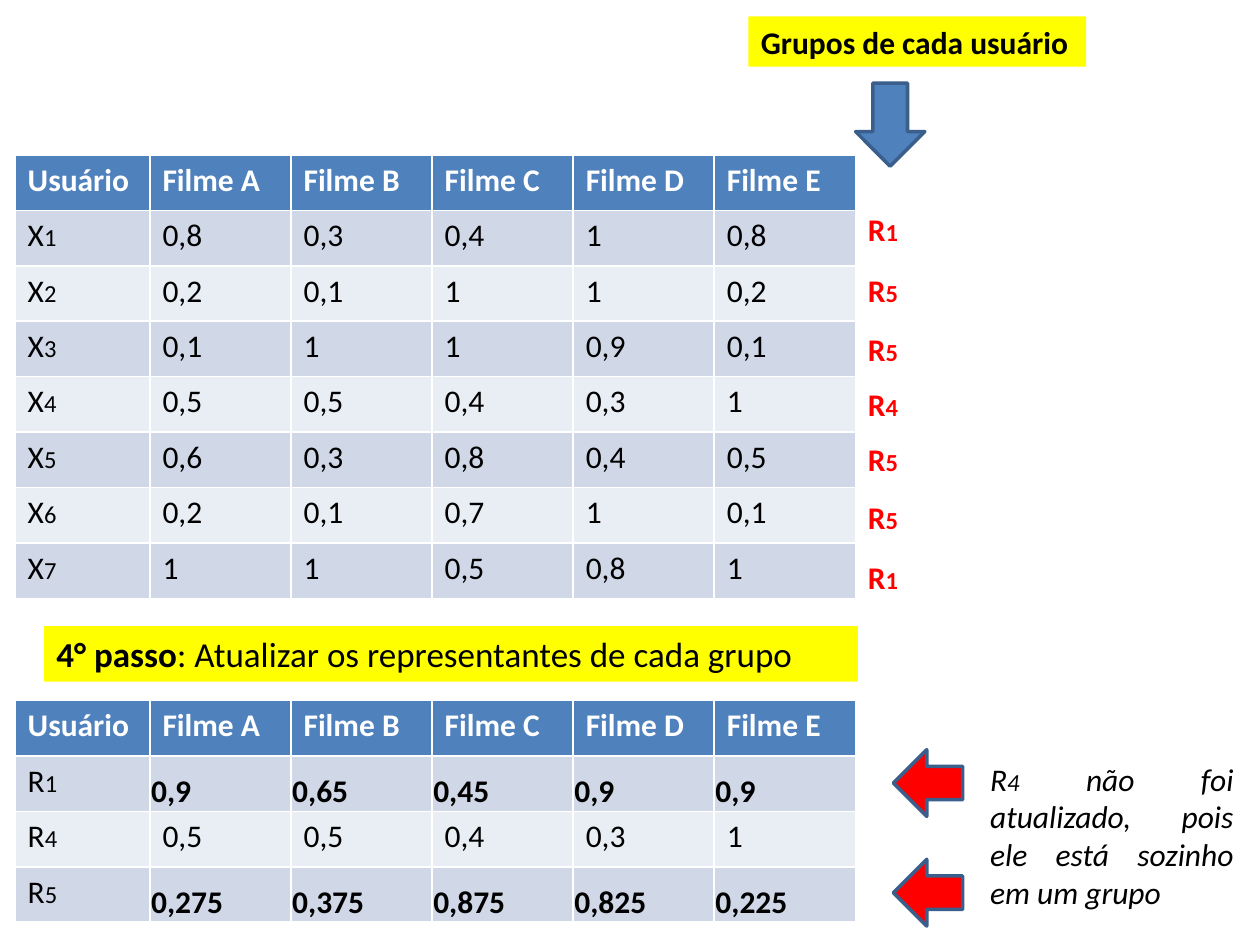
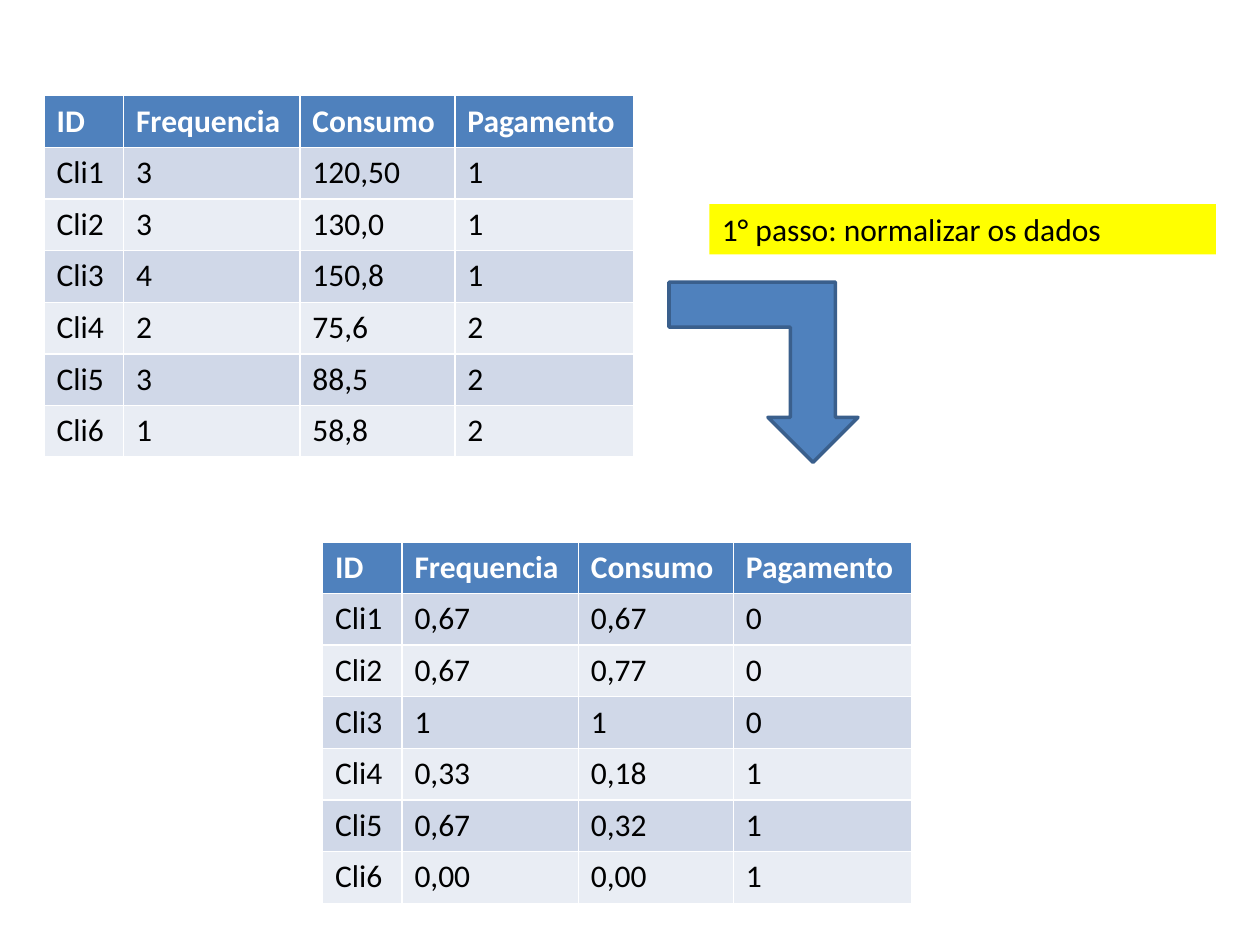
"""Builds two slides on grouping users by film ratings and normalising client data."""
from pptx import Presentation
from pptx import util as u
from pptx.dml.color import RGBColor
from pptx.enum import shapes, text

BLACK = RGBColor(0x00, 0x00, 0x00)
WHITE = RGBColor(0xFF, 0xFF, 0xFF)
RED = RGBColor(0xFF, 0x00, 0x00)
YELLOW = RGBColor(0xFF, 0xFF, 0x00)
BLUE = RGBColor(0x4F, 0x81, 0xBD)
DARK_BLUE = RGBColor(0x3A, 0x5F, 0x8C)
BANDS = (RGBColor(0xD0, 0xD8, 0xE8), RGBColor(0xE9, 0xED, 0xF4))
FONT = "Calibri"
SIZE, INDEX_SIZE, STEP_SIZE = 18, 14, 20

FILM_COLUMNS = [1.07] + [1.12] * 5
FILM_LEFT, FILM_ROW = 0.12, 0.44
FILM_RIGHT = FILM_LEFT + sum(FILM_COLUMNS)
CLIENT_COLUMNS = [0.63, 1.4, 1.23, 1.42]
CLIENT_ROW = 0.41
MARK_WIDTH = 0.55

FILM_HEADER = ["Usuário"] + [f"Filme {letter}" for letter in "ABCDE"]
CLIENT_HEADER = ["ID", "Frequencia", "Consumo", "Pagamento"]
RATINGS = [
    ["X1", "0,8", "0,3", "0,4", "1", "0,8"],
    ["X2", "0,2", "0,1", "1", "1", "0,2"],
    ["X3", "0,1", "1", "1", "0,9", "0,1"],
    ["X4", "0,5", "0,5", "0,4", "0,3", "1"],
    ["X5", "0,6", "0,3", "0,8", "0,4", "0,5"],
    ["X6", "0,2", "0,1", "0,7", "1", "0,1"],
    ["X7", "1", "1", "0,5", "0,8", "1"],
]
REPRESENTATIVES = [
    ["R1", "0,9", "0,65", "0,45", "0,9", "0,9"],
    ["R4", "0,5", "0,5", "0,4", "0,3", "1"],
    ["R5", "0,275", "0,375", "0,875", "0,825", "0,225"],
]
CLIENTS = [
    ["Cli1", "3", "120,50", "1"],
    ["Cli2", "3", "130,0", "1"],
    ["Cli3", "4", "150,8", "1"],
    ["Cli4", "2", "75,6", "2"],
    ["Cli5", "3", "88,5", "2"],
    ["Cli6", "1", "58,8", "2"],
]
NORMALISED = [
    ["Cli1", "0,67", "0,67", "0"],
    ["Cli2", "0,67", "0,77", "0"],
    ["Cli3", "1", "1", "0"],
    ["Cli4", "0,33", "0,18", "1"],
    ["Cli5", "0,67", "0,32", "1"],
    ["Cli6", "0,00", "0,00", "1"],
]
USER_GROUPS = [("R1", 1.62), ("R5", 2.1), ("R5", 2.57), ("R4", 3.01),
               ("R5", 3.44), ("R5", 3.9), ("R1", 4.38)]


def write(text_frame, pieces, color=BLACK, bold=False, italic=False):
    paragraph = text_frame.paragraphs[0]
    paragraph.alignment = text.PP_ALIGN.LEFT
    for words, size in pieces:
        run = paragraph.add_run()
        run.text = words
        run.font.name, run.font.size = FONT, u.Pt(size)
        run.font.bold, run.font.italic = bold, italic
        run.font.color.rgb = color


def add_table(slide, left, top, columns, row_height, rows):
    frame = slide.shapes.add_table(
        len(rows), len(columns), u.Inches(left), u.Inches(top),
        u.Inches(sum(columns)), u.Inches(row_height * len(rows)))
    for column, width in zip(frame.table.columns, columns):
        column.width = u.Inches(width)
    for row_index, row in enumerate(rows):
        header = row_index == 0
        for column_index, value in enumerate(row):
            cell = frame.table.cell(row_index, column_index)
            cell.fill.solid()
            cell.fill.fore_color.rgb = BLUE if header else BANDS[(row_index - 1) % 2]
            pieces = [(value, SIZE)]
            if value[0] in "XR":
                pieces = [(value[0], SIZE), (value[1:], INDEX_SIZE)]
            write(cell.text_frame, pieces, WHITE if header else BLACK, bold=header)
    return frame.table


presentation = Presentation()
presentation.slide_width, presentation.slide_height = u.Inches(10), u.Inches(7.5)
blank_layout = presentation.slide_layouts[6]
groups_slide = presentation.slides.add_slide(blank_layout)
clients_slide = presentation.slides.add_slide(blank_layout)

add_table(groups_slide, FILM_LEFT, 1.23, FILM_COLUMNS, FILM_ROW, [FILM_HEADER] + RATINGS)
representatives = add_table(groups_slide, FILM_LEFT, 5.56, FILM_COLUMNS, FILM_ROW,
                            [FILM_HEADER] + REPRESENTATIVES)
for updated_row in (1, 3):
    for column_index in range(1, len(FILM_COLUMNS)):
        cell = representatives.cell(updated_row, column_index)
        cell.vertical_anchor = text.MSO_ANCHOR.BOTTOM
        cell.margin_left = cell.margin_top = cell.margin_right = u.Inches(0.01)
        cell.margin_bottom = 0
        cell.text_frame.paragraphs[0].runs[0].font.bold = True

for left, top, rows in ((0.35, 0.76, CLIENTS), (2.56, 4.3, NORMALISED)):
    add_table(clients_slide, left, top, CLIENT_COLUMNS, CLIENT_ROW, [CLIENT_HEADER] + rows)

for slide, left, top, width, height, pieces in (
    (groups_slide, 0.35, 4.97, 6.46, 0.44,
     [("4° passo", STEP_SIZE), (": Atualizar os representantes de cada grupo", STEP_SIZE)]),
    (groups_slide, 5.94, 0.13, 2.68, 0.4, [("Grupos de cada usuário", SIZE)]),
    (clients_slide, 5.63, 1.62, 4.02, 0.4, [("1° passo: normalizar os dados", SIZE)]),
):
    banner = slide.shapes.add_shape(
        shapes.MSO_SHAPE.RECTANGLE, u.Inches(left), u.Inches(top),
        u.Inches(width), u.Inches(height))
    banner.shadow.inherit = False
    banner.fill.solid()
    banner.fill.fore_color.rgb = YELLOW
    banner.line.fill.background()
    banner.text_frame.word_wrap = True
    write(banner.text_frame, pieces)
    first_run = banner.text_frame.paragraphs[0].runs[0]
    first_run.font.bold = slide is groups_slide

for slide, kind, left, top, width, height, color in (
    (groups_slide, shapes.MSO_SHAPE.LEFT_ARROW, 7.09, 5.95, MARK_WIDTH, 0.53, RED),
    (groups_slide, shapes.MSO_SHAPE.LEFT_ARROW, 7.09, 6.82, MARK_WIDTH, 0.53, RED),
    (groups_slide, shapes.MSO_SHAPE.DOWN_ARROW, FILM_RIGHT, 0.66, MARK_WIDTH, 0.66, BLUE),
    (clients_slide, shapes.MSO_SHAPE.BENT_UP_ARROW, 5.31, 2.24, 1.5, 1.43, BLUE),
):
    arrow = slide.shapes.add_shape(
        kind, u.Inches(left), u.Inches(top), u.Inches(width), u.Inches(height))
    arrow.shadow.inherit = False
    arrow.fill.solid()
    arrow.fill.fore_color.rgb = color
    arrow.line.color.rgb = DARK_BLUE
    arrow.line.width = u.Pt(2)
    if kind == shapes.MSO_SHAPE.BENT_UP_ARROW:
        arrow._element.spPr.xfrm.set("flipV", "1")

for group, top in USER_GROUPS:
    label = groups_slide.shapes.add_textbox(
        u.Inches(FILM_RIGHT), u.Inches(top), u.Inches(MARK_WIDTH), u.Inches(0.4))
    label.text_frame.word_wrap = True
    write(label.text_frame, [(group[0], SIZE), (group[1], INDEX_SIZE)], RED, bold=True)

remark = groups_slide.shapes.add_textbox(
    u.Inches(7.76), u.Inches(5.98), u.Inches(2.13), u.Inches(1.31))
remark.text_frame.word_wrap = True
write(remark.text_frame,
      [("R", SIZE), ("4", INDEX_SIZE),
       (" não foi atualizado, pois ele está sozinho em um grupo", SIZE)], italic=True)
remark.text_frame.paragraphs[0].alignment = text.PP_ALIGN.JUSTIFY

presentation.save("out.pptx")
